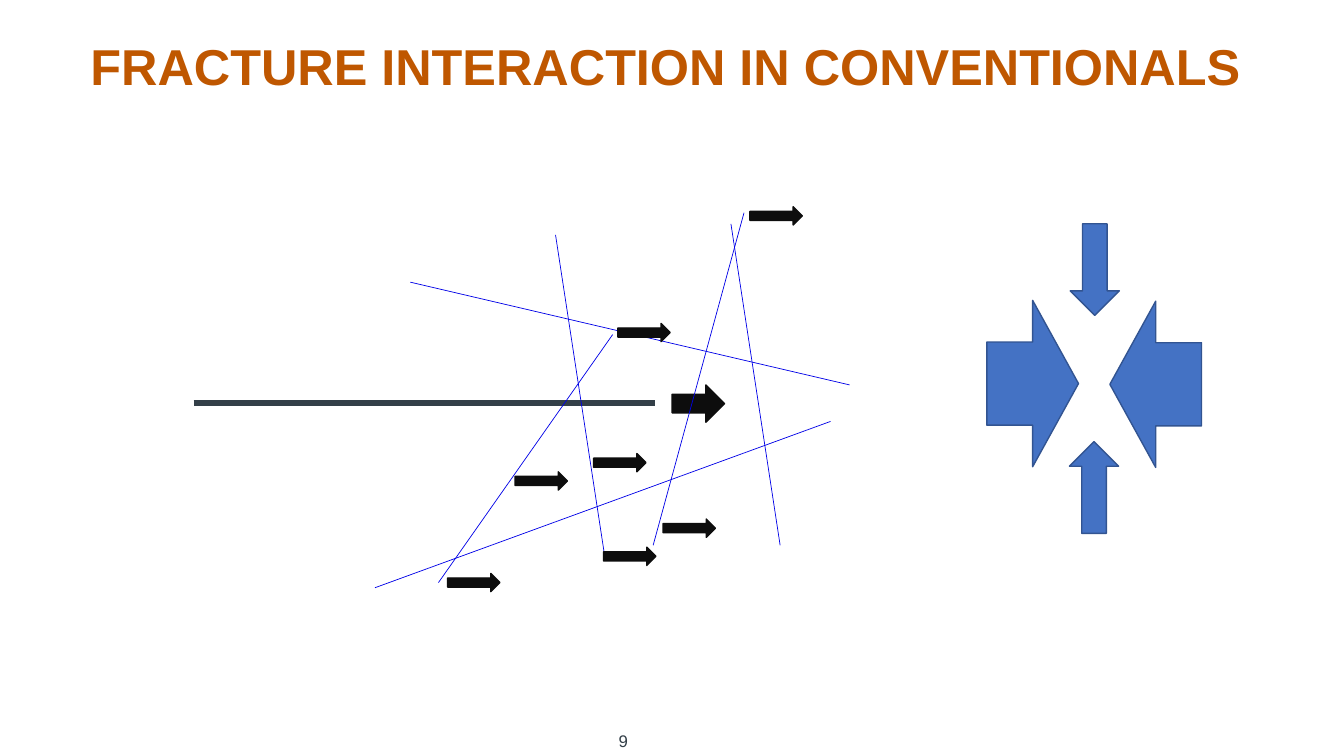
from lxml.etree import SubElement
from pptx import Presentation
from pptx.dml.color import RGBColor
from pptx.enum.shapes import MSO_CONNECTOR, MSO_SHAPE
from pptx.enum.text import MSO_ANCHOR, PP_ALIGN
from pptx.oxml.ns import qn
from pptx.util import Cm, Pt

HUES = {"title": "BF5700", "slate": "333F48", "crack": "0000E7",
        "black": "0D0D0D", "blue": "4472C4", "edge": "325491"}

deck = Presentation()
deck.slide_width, deck.slide_height = Cm(33.87), Cm(19.05)
slide = deck.slides.add_slide(deck.slide_layouts[6])


def add_line(x1, y1, x2, y2, hue, width):
    line = slide.shapes.add_connector(
        MSO_CONNECTOR.STRAIGHT, Cm(x1), Cm(y1), Cm(x2), Cm(y2))
    line.line.color.rgb = RGBColor.from_string(HUES[hue])
    line.line.width = Pt(width)
    SubElement(line._element.spPr, qn("a:effectLst"))


def add_arrow(kind, x, y, w, h, fill, edge, turn=0):
    arrow = slide.shapes.add_shape(kind, Cm(x), Cm(y), Cm(w), Cm(h))
    arrow.rotation = turn
    arrow.shadow.inherit = False
    arrow.fill.solid()
    arrow.fill.fore_color.rgb = RGBColor.from_string(HUES[fill])
    arrow.line.color.rgb = RGBColor.from_string(HUES[edge])
    arrow.line.width = Pt(1)


labels = [
    ("9", 15.09, 18.29, 1.24, 0.76, 12, "slate", False),
    ("FRACTURE INTERACTION IN CONVENTIONALS",
     0.64, 0.76, 32.28, 1.8, 36, "title", True),
]
for text, x, y, w, h, size, hue, bold in labels:
    box = slide.shapes.add_textbox(Cm(x), Cm(y), Cm(w), Cm(h))
    frame = box.text_frame
    frame.word_wrap = True
    frame.vertical_anchor = MSO_ANCHOR.MIDDLE
    para = frame.paragraphs[0]
    para.text = text
    para.alignment = PP_ALIGN.CENTER
    para.font.name = "Arial"
    para.font.size = Pt(size)
    para.font.bold = bold
    para.font.color.rgb = RGBColor.from_string(HUES[hue])

add_line(4.88, 10.16, 16.51, 10.16, "slate", 4.5)
add_arrow(MSO_SHAPE.RIGHT_ARROW, 16.94, 9.7, 1.32, 0.94, "black", "black")

cracks = [
    (10.34, 7.11, 21.41, 9.7),
    (15.24, 14.02, 14, 5.92),
    (9.45, 14.81, 20.93, 10.62),
    (16.46, 13.74, 18.75, 5.36),
    (19.66, 13.74, 18.42, 5.64),
    (11.05, 14.68, 15.44, 8.43),
]
for ends in cracks:
    add_line(*ends, "crack", 0.5)

stress = [
    (26.97, 5.64, 1.24, 0),
    (27.03, 8.53, 4.19, 90),
    (23.93, 8.51, 4.19, 270),
    (26.95, 11.13, 1.24, 180),
]
for x, y, w, turn in stress:
    add_arrow(MSO_SHAPE.DOWN_ARROW, x, y, w, 2.31, "blue", "edge", turn)

tips = [(15.57, 8.15), (18.9, 5.21), (14.96, 11.43), (15.21, 13.79),
        (16.71, 13.08), (12.98, 11.89), (11.28, 14.45)]
for x, y in tips:
    add_arrow(MSO_SHAPE.RIGHT_ARROW, x, y, 1.32, 0.46, "black", "black")

deck.save("out.pptx")
